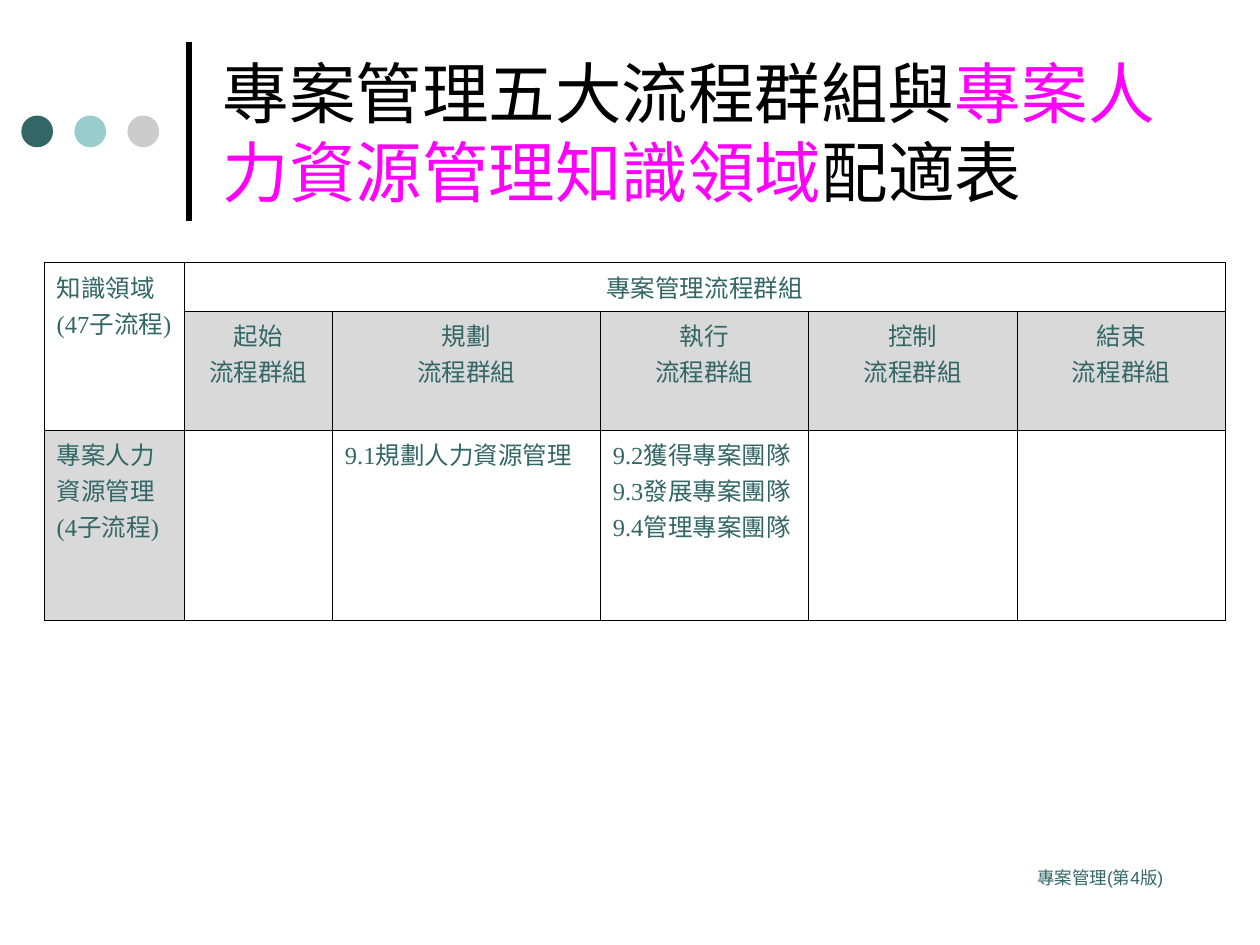
from lxml import etree
from pptx import Presentation
from pptx.enum import shapes, text
from pptx.oxml import ns
from pptx.util import Cm, Pt
from pptx.dml.color import RGBColor

COLORS = {
    "black": "000000",
    "teal": "336666",
    "aqua": "99CCCC",
    "silver": "CCCCCC",
    "magenta": "FF00FF",
    "header": "D9D9D9",
}
SANS, SERIF = "Arial", "Times New Roman"
LEFT, CENTER, RIGHT = text.PP_ALIGN.LEFT, text.PP_ALIGN.CENTER, text.PP_ALIGN.RIGHT
COLUMN_WIDTHS = [2.82, 2.99, 5.4, 4.2, 4.2, 4.2]
ROW_HEIGHTS = [0.98, 2.4, 3.83]
GROUPS = ["起始", "規劃", "執行", "控制", "結束"]


def color(name):
    return RGBColor.from_string(COLORS[name])


def add_run(paragraph, words, size, font, color_name):
    run = paragraph.add_run()
    run.text = words
    run.font.size = Pt(size)
    run.font.name = font
    run.font.color.rgb = color(color_name)


def add_dot(slide, left, color_name):
    dot = slide.shapes.add_shape(
        shapes.MSO_SHAPE.OVAL, Cm(left), Cm(2.33), Cm(0.64), Cm(0.64))
    dot.shadow.inherit = False
    dot.fill.solid()
    dot.fill.fore_color.rgb = color(color_name)
    dot.line.fill.background()


def add_rule(slide):
    rule = slide.shapes.add_connector(
        shapes.MSO_CONNECTOR.STRAIGHT, Cm(3.81), Cm(4.45), Cm(3.81), Cm(0.84))
    rule.line.color.rgb = color("black")
    rule.line.width = Pt(3)
    etree.SubElement(rule._element.spPr, ns.qn("a:effectLst"))


def add_text(slide, box, runs, size, align=LEFT, anchor=text.MSO_ANCHOR.TOP):
    shape = slide.shapes.add_textbox(*(Cm(length) for length in box))
    frame = shape.text_frame
    frame.word_wrap = True
    frame.vertical_anchor = anchor
    paragraph = frame.paragraphs[0]
    paragraph.alignment = align
    for words, color_name in runs:
        add_run(paragraph, words, size, SANS, color_name)


def add_borders(cell):
    properties = cell._tc.get_or_add_tcPr()
    for position, side in enumerate(("lnL", "lnR", "lnT", "lnB")):
        line = etree.Element(ns.qn(f"a:{side}"), w=str(Pt(0.45)))
        fill = etree.SubElement(line, ns.qn("a:solidFill"))
        etree.SubElement(fill, ns.qn("a:srgbClr"), val=COLORS["black"])
        properties.insert(position, line)


def fill_cell(cell, lines, align=LEFT, shaded=False, hanging=True):
    """Write one paragraph per line; a tuple is one paragraph with breaks."""
    if shaded:
        cell.fill.solid()
        cell.fill.fore_color.rgb = color("header")
    for index, line in enumerate(lines):
        frame = cell.text_frame
        paragraph = frame.add_paragraph() if index else frame.paragraphs[0]
        paragraph.alignment = align
        if hanging:
            properties = paragraph._p.get_or_add_pPr()
            properties.set("marL", str(Cm(0.96)))
            properties.set("indent", str(-Cm(0.96)))
        parts = line if isinstance(line, tuple) else (line,)
        for number, part in enumerate(parts):
            if number:
                paragraph.add_line_break()
            add_run(paragraph, part, 14, SERIF, "teal")


def add_process_table(slide):
    frame = slide.shapes.add_table(
        len(ROW_HEIGHTS), len(COLUMN_WIDTHS), Cm(0.89), Cm(5.29),
        Cm(sum(COLUMN_WIDTHS)), Cm(sum(ROW_HEIGHTS)))
    table = frame.table
    table.first_row = table.horz_banding = False
    for column, width in zip(table.columns, COLUMN_WIDTHS):
        column.width = Cm(width)
    for row, height in zip(table.rows, ROW_HEIGHTS):
        row.height = Cm(height)
    for cell in table.iter_cells():
        cell.fill.background()
        add_borders(cell)
    table.cell(0, 0).merge(table.cell(1, 0))
    table.cell(0, 1).merge(table.cell(0, len(GROUPS)))

    # Headings
    fill_cell(table.cell(0, 0), [("知識領域", "(47子流程)")], hanging=False)
    fill_cell(table.cell(0, 1), ["專案管理流程群組"], CENTER)
    for column, group in enumerate(GROUPS, start=1):
        fill_cell(table.cell(1, column), [group, "流程群組"], CENTER, shaded=True)

    # Human resource processes
    fill_cell(table.cell(2, 0), ["專案人力", "資源管理", "(4子流程)"], shaded=True)
    fill_cell(table.cell(2, 2), ["9.1規劃人力資源管理"])
    execution = table.cell(2, 3)
    execution.margin_right = Cm(0.1)  # keeps each process on one line
    fill_cell(execution, ["9.2獲得專案團隊", "9.3發展專案團隊", "9.4管理專案團隊"])


def main():
    presentation = Presentation()
    presentation.slide_width, presentation.slide_height = Cm(25.4), Cm(19.05)
    slide = presentation.slides.add_slide(presentation.slide_layouts[6])

    # Decoration
    add_rule(slide)
    for index, name in enumerate(("teal", "aqua", "silver")):
        add_dot(slide, 0.43 + 1.07 * index, name)

    # Footer and title
    add_text(slide, (18.42, 17.35, 5.28, 1.27), [("專案管理(第4版)", "teal")], 10, RIGHT)
    title = [("專案管理五大流程群組與", "black"),
             ("專案人力資源管理知識領域", "magenta"),
             ("配適表", "black")]
    add_text(slide, (4.24, 0.53, 19.48, 4.24), title, 38,
             anchor=text.MSO_ANCHOR.MIDDLE)

    add_process_table(slide)
    presentation.save("out.pptx")


if __name__ == "__main__":
    main()
